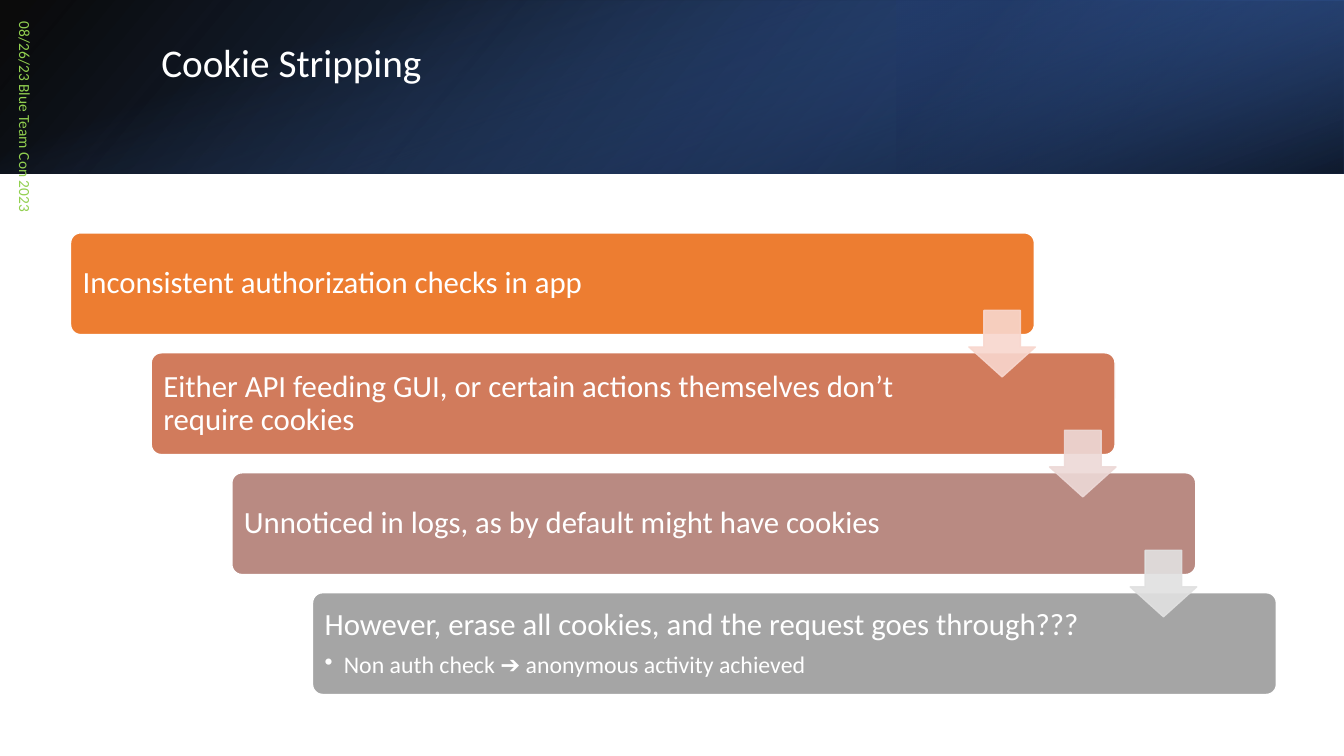
from lxml import etree
from pptx import Presentation
from pptx.dml.color import RGBColor
from pptx.enum.shapes import MSO_SHAPE
from pptx.enum.text import MSO_ANCHOR, PP_ALIGN
from pptx.oxml import parse_xml
from pptx.oxml.ns import nsdecls, qn
from pptx.util import Inches, Pt

HUES = {
    "white": "FFFFFF", "black": "000000", "royal": "2F5597", "navy": "203864",
    "blue": "4472C4", "green": "92D050", "orange": "ED7D31", "clay": "D17B5C",
    "rose": "B98A82", "gray": "A5A5A5", "peach": "F8D7CE", "blush": "EDD9D7",
    "silver": "E1E1E1",
}
# Box colour, colour of the arrow leaving it, text width, heading, bullet
STEPS = [
    ("orange", "peach", 8.39, "Inconsistent authorization checks in app", None),
    ("clay", "blush", 8.05, "Either API feeding GUI, or certain actions "
     "themselves don’t require cookies", None),
    ("rose", "silver", 8.06,
     "Unnoticed in logs, as by default might have cookies", None),
    ("gray", None, 8.05,
     "However, erase all cookies, and the request goes through???",
     "Non auth check ➔ anonymous activity achieved"),
]
DX, DY = 0.8, 1.19


class Deck:
    def __init__(self):
        self.prs = Presentation()
        self.prs.slide_width = Inches(13.33)
        self.prs.slide_height = Inches(7.5)
        self.slide = self.prs.slides.add_slide(self.prs.slide_layouts[5])
        self.font = "Calibri"

    def shape(self, kind, box, adj=()):
        item = self.slide.shapes.add_shape(kind, *map(Inches, box))
        item.shadow.inherit = False
        for i, value in enumerate(adj):
            item.adjustments[i] = value
        return item

    def paint(self, item, hue, alpha=100):
        """Give fill and outline of a shape one opacity; outline matches if clear."""
        item.fill.solid()
        item.fill.fore_color.rgb = RGBColor.from_string(HUES[hue])
        edge = "white" if alpha == 100 else hue
        item.line.color.rgb = RGBColor.from_string(HUES[edge])
        item.line.width = Pt(1)
        if alpha < 100:
            for clr in item._element.spPr.iter(qn("a:srgbClr")):
                etree.SubElement(clr, qn("a:alpha"), val=str(alpha * 1000))

    def band(self, box, stops, angle, turn=0, flip=False):
        """Draw a gradient rectangle; each stop is (percent, hue, opacity)."""
        item = self.shape(MSO_SHAPE.RECTANGLE, box)
        item.line.fill.background()
        item.rotation = turn
        props = item._element.spPr
        if flip:
            props.xfrm.set("flipH", "1")
        marks = "".join(
            f'<a:gs pos="{pos * 1000}"><a:srgbClr val="{HUES[hue]}">'
            f'<a:alpha val="{alpha * 1000}"/></a:srgbClr></a:gs>'
            for pos, hue, alpha in stops)
        props.find(qn("a:prstGeom")).addnext(parse_xml(
            f'<a:gradFill {nsdecls("a")} rotWithShape="1"><a:gsLst>{marks}'
            f'</a:gsLst><a:lin ang="{angle * 60000}" scaled="0"/></a:gradFill>'))

    def style(self, para, size, hue="white", after=0, lines=0.9):
        para.alignment = PP_ALIGN.LEFT
        para.line_spacing = lines
        para.space_after = Pt(after)
        for run in para.runs:
            run.font.name = self.font
            run.font.size = Pt(size)
            run.font.color.rgb = RGBColor.from_string(HUES[hue])

    def title(self, box, text):
        item = self.slide.shapes.title
        item.left, item.top, item.width, item.height = map(Inches, box)
        item.text_frame.text = text
        item.text_frame.vertical_anchor = MSO_ANCHOR.TOP
        self.style(item.text_frame.paragraphs[0], 28)
        self.slide.shapes._spTree.append(item._element)  # above the bands

    def text(self, box, text, size, hue="white", after=8, lines=0.9, pad=None):
        item = self.slide.shapes.add_textbox(*map(Inches, box))
        frame = item.text_frame
        frame.word_wrap = True
        frame.vertical_anchor = MSO_ANCHOR.MIDDLE
        if pad:
            frame.margin_left = frame.margin_right = Inches(pad)
            frame.margin_top = frame.margin_bottom = Inches(pad)
        frame.text = text
        self.style(frame.paragraphs[0], size, hue, after, lines)
        return item

    def bullet(self, frame, text):
        para = frame.add_paragraph()
        para.text = text
        para.level = 1
        props = para._p.get_or_add_pPr()
        props.set("marL", str(Inches(0.19)))
        props.set("indent", str(-Inches(0.19)))
        etree.SubElement(props, qn("a:buChar"), char="•")
        self.style(para, 17, after=3)

    def step(self, i, hue, width, head, note):
        x, y = 0.7 + DX * i, 2.31 + DY * i
        box = self.shape(MSO_SHAPE.ROUNDED_RECTANGLE, (x, y, 9.56, 1.01), [0.1])
        self.paint(box, hue)
        label = self.text((x + 0.03, y + 0.03, width, 0.95), head, 22, pad=0.09)
        if note:
            self.bullet(label.text_frame, note)

    def arrow(self, i, hue):
        box = (9.61 + DX * i, 3.08 + DY * i, 0.66, 0.66)
        # Adjustments: head length, then shaft width
        item = self.shape(MSO_SHAPE.DOWN_ARROW, box, [0.55, 0.45])
        self.paint(item, hue, 90)


def main():
    deck = Deck()
    deck.band((0, 0, 13.33, 1.72),
              [(0, "black", 96), (100, "royal", 100)], 140, flip=True)
    deck.band((8.89, 0, 4.44, 1.72),
              [(19, "navy", 68), (100, "blue", 79)], 320, 180, True)
    deck.band((5.8, -5.8, 1.72, 13.33),
              [(23, "blue", 0), (99, "black", 74)], 340, 90)
    deck.title((1.5, 0.38, 10.98, 0.96), "Cookie Stripping")
    side = deck.text((-2, 2.17, 4.5, 0.4), "08/26/23 Blue Team Con 2023",
                     11, "green", 6, 1.0)
    side.rotation = 90
    for i, (hue, _, width, head, note) in enumerate(STEPS):
        deck.step(i, hue, width, head, note)
    for i, (_, tint, *_) in enumerate(STEPS[:-1]):
        deck.arrow(i, tint)
    deck.prs.save("out.pptx")


if __name__ == "__main__":
    main()
